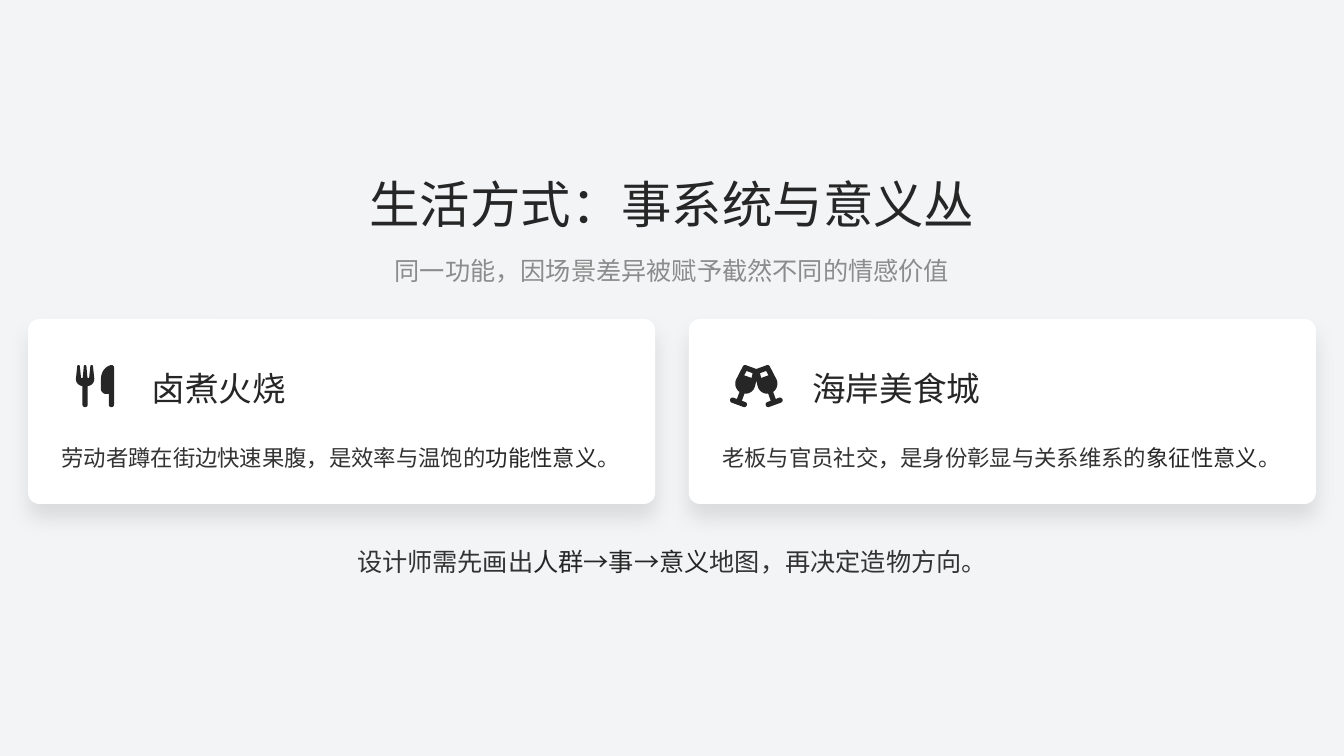
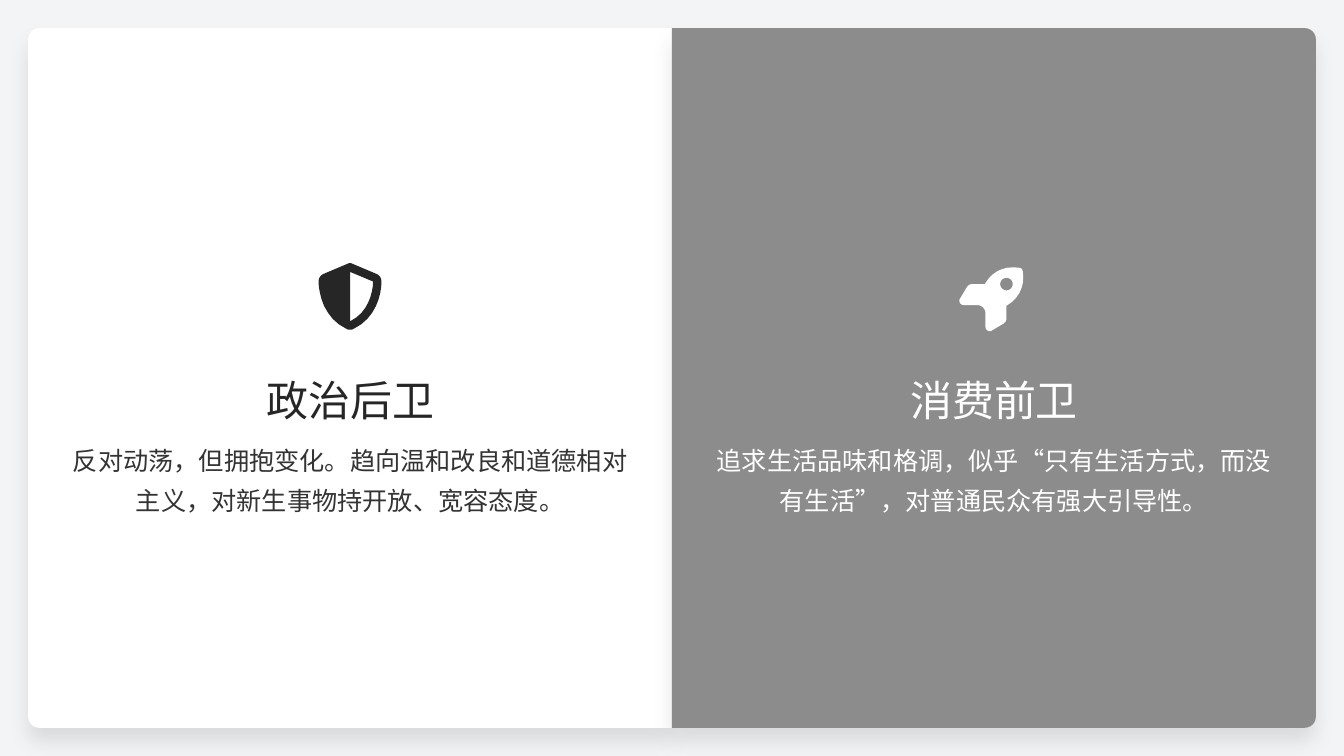
from lxml.etree import SubElement
from pptx import Presentation
from pptx.dml.color import RGBColor
from pptx.enum.shapes import MSO_SHAPE
from pptx.enum.text import MSO_ANCHOR, PP_ALIGN
from pptx.oxml.ns import qn
from pptx.util import Cm, Pt

PAGE_W, PAGE_H = 33.87, 19.05
MARGIN, GAP, PAD, RADIUS = 0.71, 0.85, 0.84, 0.28
PAGE, WHITE, GREY, INK, BODY = "F3F4F6", "FFFFFF", "8C8C8C", "262626", "333333"

CUTLERY = """64 14, 63 6 56 0 48 0, 40 0 33 6 32 14, 18 150, 17 156 16 162 16 168,
16 214 51 252 96 256, 96 480, 96 498 110 512 128 512, 146 512 160 498 160 480,
160 256, 205 252 240 214 240 168, 240 162 239 156 238 150, 224 14,
223 6 216 0 208 0, 200 0 193 6 192 14, 178 150, 178 156 173 160 167 160,
161 160 157 156 156 150, 144 15, 143 6 136 0 128 0, 120 0 113 6 112 15,
100 150, 99 156 94 160 89 160, 83 160 78 156 78 150;
448 0, 432 0 320 32 320 176, 320 288, 320 323 349 352 384 352, 416 352,
416 480, 416 498 430 512 448 512, 466 512 480 498 480 480, 480 32,
480 14 466 0 448 0"""
GLASSES = """320 48, 445 2, 460 -4 477 3 484 17, 563 170, 592 226 573 293 525 327,
556 413, 597 398, 614 392 632 401 638 417, 644 434 636 452 619 458, 477 510,
460 516 442 508 436 491, 430 474 438 456 455 450, 496 435, 465 349,
405 354 348 315 335 253, 320 189, 305 253, 292 315 235 354 175 349, 144 435,
185 450, 202 456 210 474 204 491, 198 508 180 516 163 510, 21 458,
4 452 -4 434 2 417, 8 401 26 392 43 398, 84 413, 115 327,
67 293 48 226 77 170, 156 17, 163 3 180 -4 195 2;
200 72, 172 125, 262 157, 275 99; 440 72, 365 99, 378 157, 468 125"""
SHIELD = """256 0, 261 0 265 1 269 3, 458 83, 480 92 496 114 496 140,
496 239 455 421 282 503, 266 511 246 511 230 503, 57 421 17 239 16 140,
16 114 32 92 54 83, 243 3, 247 1 251 0 256 0;
256 67, 256 445, 394 378 431 230 432 141"""
ROCKET = """128 320, 24 320, 0 320 -16 293 -3 272, 50 183, 59 169 74 160 91 160,
186 160, 262 31 376 25 452 36, 465 38 474 48 476 60, 487 136 481 250 352 326,
352 421, 352 438 343 453 329 462, 240 515, 219 528 192 512 192 488, 192 384,
192 349 163 320 128 320;
400 160, 400 133 379 112 352 112, 325 112 304 133 304 160,
304 187 325 208 352 208, 379 208 400 187 400 160"""


def rgb(value):
    return RGBColor.from_string(value)


def contour(text, steps=8):
    points = []
    for segment in text.split(","):
        nums = [int(n) for n in segment.split()]
        if len(nums) == 2:
            points.append(tuple(nums))
            continue
        corners = [points[-1], *zip(nums[::2], nums[1::2])]
        for i in range(1, steps + 1):
            t = i / steps
            weights = ((1 - t) ** 3, 3 * t * (1 - t) ** 2, 3 * t * t * (1 - t), t ** 3)
            points.append(tuple(sum(w * c[axis] for w, c in zip(weights, corners))
                                for axis in (0, 1)))
    return points


class Deck:
    """Holds the shared style and the slide being filled."""

    font = "Noto Sans CJK SC"

    def __init__(self):
        self.prs = Presentation()
        self.prs.slide_width, self.prs.slide_height = Cm(PAGE_W), Cm(PAGE_H)

    def add_slide(self):
        self.s = self.prs.slides.add_slide(self.prs.slide_layouts[6])
        fill = self.s.background.fill
        fill.solid()
        fill.fore_color.rgb = rgb(PAGE)

    def paint(self, sp, color):
        sp.shadow.inherit = False
        sp.fill.solid()
        sp.fill.fore_color.rgb = rgb(color)
        sp.line.fill.background()

    def card(self, kind, x, y, w, h, color, rotation=0):
        if rotation:
            x, y, w, h = x + (w - h) / 2, y + (h - w) / 2, h, w
        sp = self.s.shapes.add_shape(kind, Cm(x), Cm(y), Cm(w), Cm(h))
        sp.rotation = rotation
        sp.adjustments[0] = RADIUS / min(w, h)
        self.paint(sp, color)
        effects = sp._element.spPr.find(qn("a:effectLst"))
        shadow = SubElement(effects, qn("a:outerShdw"), blurRad=str(Pt(15)),
                            dist=str(Pt(10)), dir="5400000", algn="ctr", rotWithShape="0")
        black = SubElement(shadow, qn("a:srgbClr"), val="000000")
        SubElement(black, qn("a:alpha"), val="10000")

    def icon(self, outline, center, y, size, color, grid=512):
        first, *others = [contour(c) for c in outline.split(";")]
        scale = Cm(size) / 512
        builder = self.s.shapes.build_freeform(*first[0], scale=scale)
        builder.add_line_segments(first[1:], close=True)
        for points in others:
            builder.move_to(*points[0])
            builder.add_line_segments(points[1:], close=True)
        left = Cm(center) - int(grid * scale / 2)
        self.paint(builder.convert_to_shape(left, Cm(y)), color)

    def text(self, x, y, w, h, runs, size, align=PP_ALIGN.LEFT, spacing=1.3):
        tf = self.s.shapes.add_textbox(Cm(x), Cm(y), Cm(w), Cm(h)).text_frame
        frame = dict(word_wrap=True, vertical_anchor=MSO_ANCHOR.MIDDLE, margin_left=0,
                     margin_right=0, margin_top=0, margin_bottom=0)
        p = tf.paragraphs[0]
        for target, values in ((tf, frame), (p, dict(alignment=align, line_spacing=spacing))):
            for name, value in values.items():
                setattr(target, name, value)
        for content, color in runs:
            r = p.add_run()
            r.text = content
            for name, value in dict(size=Pt(size), name=self.font).items():
                setattr(r.font, name, value)
            r.font.color.rgb = rgb(color)
            SubElement(r._r.get_or_add_rPr(), qn("a:ea"), typeface=self.font)


def lifestyle(deck):
    deck.add_slide()
    deck.text(0, 4.52, PAGE_W, 1.42, [("生活方式：事系统与意义丛", INK)], 36,
              PP_ALIGN.CENTER, 0.9)
    deck.text(0, 6.2, PAGE_W, 0.99, [("同一功能，因场景差异被赋予截然不同的情感价值", GREY)],
              18, PP_ALIGN.CENTER)
    cards = [
        (CUTLERY, 512, "卤煮火烧", "劳动者蹲在街边快速果腹，是效率与温饱的", "功能性意义"),
        (GLASSES, 640, "海岸美食城", "老板与官员社交，是身份彰显与关系维系的", "象征性意义"),
    ]
    w = (PAGE_W - 2 * MARGIN - GAP) / 2
    for i, (outline, grid, title, body, meaning) in enumerate(cards):
        x = MARGIN + i * (w + GAP)
        deck.card(MSO_SHAPE.ROUNDED_RECTANGLE, x, 8.04, w, 4.66, WHITE)
        deck.icon(outline, x + 1.7, 9.2, 1.06, INK, grid)
        deck.text(x + 3.11, 9.17, 5.64, 1.11, [(title, INK)], 24, spacing=1.1)
        deck.text(x + PAD, 11, w - 2 * PAD, 0.84,
                  [(body, BODY), (meaning, INK), ("。", BODY)], 16)
    deck.text(MARGIN, 13.55, PAGE_W - 2 * MARGIN, 0.99,
              [("设计师需先画出", BODY), ("人群→事→意义", INK), ("地图，再决定造物方向。", BODY)],
              18, PP_ALIGN.CENTER)


def two_sides(deck):
    deck.add_slide()
    panels = [
        (270, WHITE, SHIELD, INK, BODY, "政治后卫",
         "反对动荡，但拥抱变化。趋向温和改良和道德相对主义，对新生事物持开放、宽容态度。"),
        (90, GREY, ROCKET, WHITE, WHITE, "消费前卫",
         "追求生活品味和格调，似乎“只有生活方式，而没有生活”，对普通民众有强大引导性。"),
    ]
    w, h = PAGE_W / 2 - MARGIN, PAGE_H - 2 * MARGIN
    for i, (rotation, fill, outline, accent, color, title, body) in enumerate(panels):
        x = MARGIN + i * w
        deck.card(MSO_SHAPE.ROUND_2_SAME_RECTANGLE, x, MARGIN, w, h, fill, rotation)
        deck.icon(outline, x + w / 2, 6.63, 1.69, accent)
        deck.text(x + 6, 9.45, 5.64, 1.27, [(title, accent)], 30, spacing=1.0)
        deck.text(x + PAD, 11, w - 2 * PAD, 1.98, [(body, color)], 18, PP_ALIGN.CENTER)


def main():
    deck = Deck()
    lifestyle(deck)
    two_sides(deck)
    deck.prs.save("out.pptx")


if __name__ == "__main__":
    main()
